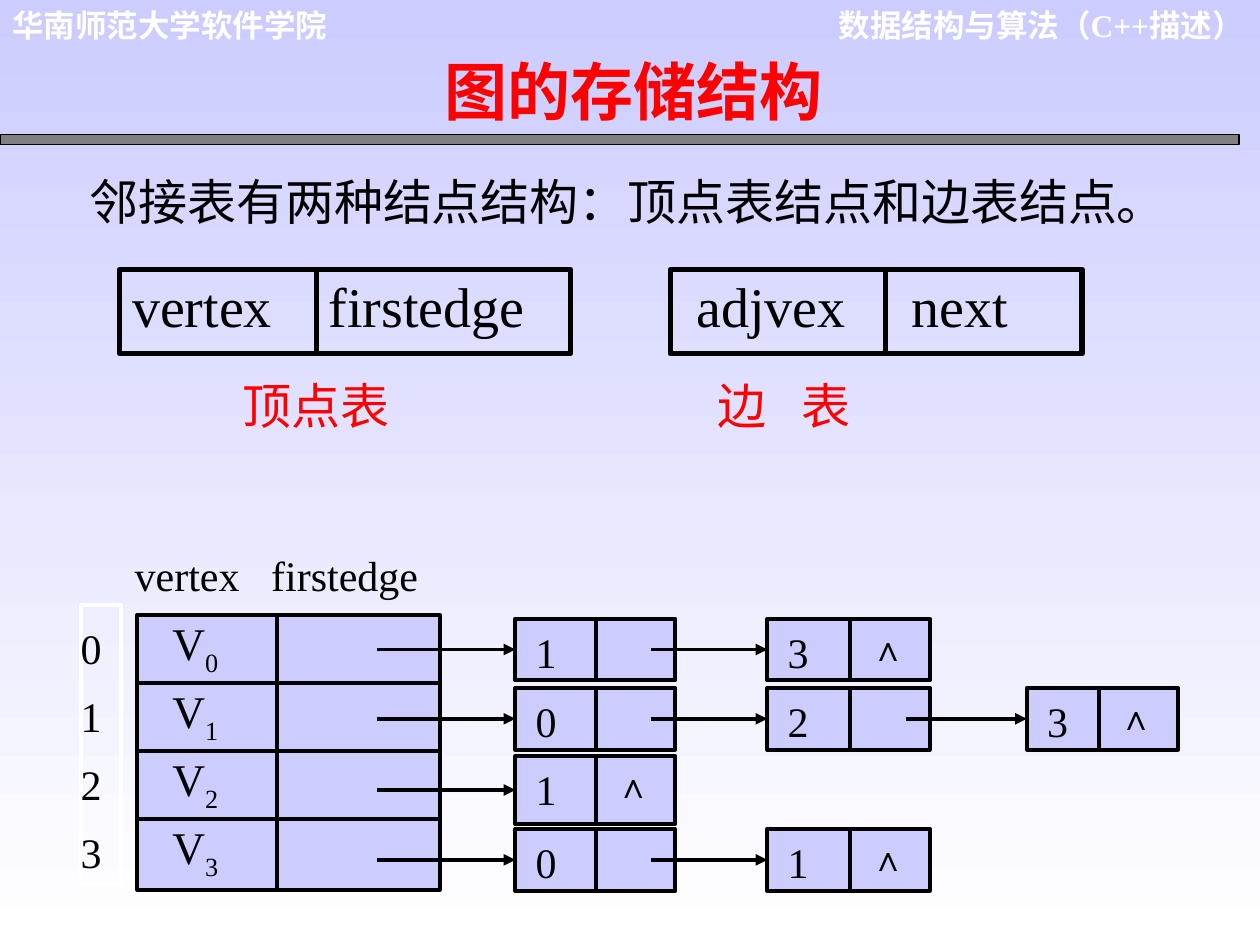
from dataclasses import dataclass

from lxml.etree import SubElement
from pptx import Presentation
from pptx.dml.color import RGBColor
from pptx.enum.shapes import MSO_CONNECTOR as Connector, MSO_SHAPE as Shape
from pptx.enum.text import MSO_ANCHOR as Anchor, MSO_AUTO_SIZE as AutoSize, PP_ALIGN as Align
from pptx.oxml.ns import qn
from pptx.util import Pt


@dataclass(frozen=True)
class Theme:
    black: str = "000000"
    white: str = "FFFFFF"
    red: str = "FF0000"
    gray: str = "808080"
    lavender: str = "CCCCFF"
    latin: str = "Times New Roman"
    header_latin: str = "Arial"
    cjk: str = "Noto Sans CJK SC"
    title: float = 36
    field: float = 32
    body: float = 28
    vertex: float = 25.9
    node: float = 24
    null: float = 20
    header: float = 18
    thick: float = 3
    medium: float = 2.25
    thin: float = 0.75


THEME = Theme()
MARGIN = (7.2, 3.6, 7.2, 3.6)
NULL = "∧"


def rgb(color):
    return RGBColor.from_string(color)


def style_run(run, size, color=THEME.black, bold=False, latin=THEME.latin):
    run.font.size = Pt(size)
    run.font.bold = bold
    run.font.name = latin
    run.font.color.rgb = rgb(color)
    SubElement(run.font._element, qn("a:ea"), typeface=THEME.cjk)


def write(shape, text, size, color=THEME.black, insets=MARGIN, align=Align.LEFT,
          tabs=(), spacing=None, **font):
    frame = shape.text_frame
    frame.auto_size = AutoSize.NONE
    frame.word_wrap = True
    frame.vertical_anchor = Anchor.TOP
    frame.margin_left, frame.margin_top, frame.margin_right, frame.margin_bottom = map(Pt, insets)
    frame.text = text
    for paragraph in frame.paragraphs:
        paragraph.alignment = align
        paragraph.space_before = Pt(0)
        if spacing:
            paragraph.line_spacing = spacing
        if tabs:
            stops = SubElement(paragraph._p.get_or_add_pPr(), qn("a:tabLst"))
            for position in tabs:
                SubElement(stops, qn("a:tab"), pos=str(Pt(position)), algn="l")
        for run in paragraph.runs:
            style_run(run, size, color, **font)
    return frame


def place(shape, box):
    shape.left, shape.top, shape.width, shape.height = map(Pt, box)


def add_label(slide, box, text, size, **style):
    return write(slide.shapes.add_textbox(*map(Pt, box)), text, size, **style)


def add_box(slide, box, fill=None, line=THEME.black, weight=THEME.medium):
    rectangle = slide.shapes.add_shape(Shape.RECTANGLE, *map(Pt, box))
    rectangle.shadow.inherit = False
    if fill:
        rectangle.fill.solid()
        rectangle.fill.fore_color.rgb = rgb(fill)
    else:
        rectangle.fill.background()
    rectangle.line.color.rgb = rgb(line)
    rectangle.line.width = Pt(weight)
    return rectangle


def add_pointer(slide, x, target):
    y = target.top + target.height // 2
    pointer = slide.shapes.add_connector(Connector.STRAIGHT, Pt(x), y, target.left, y)
    pointer.end_connect(target, 1)
    pointer.line.color.rgb = rgb(THEME.black)
    pointer.line.width = Pt(THEME.medium)
    SubElement(pointer.line._get_or_add_ln(), qn("a:tailEnd"), type="triangle")
    SubElement(pointer._element.spPr, qn("a:effectLst"))


def build_header(slide, left, top, width):
    add_label(slide, (left + 451.4, top, 266.4, 28.8), "数据结构与算法（C++描述）",
              THEME.header, color=THEME.white, align=Align.RIGHT, bold=True)
    add_label(slide, (left, top, 196, 28.8), "华南师范大学软件学院", THEME.header,
              color=THEME.white, bold=True, latin=THEME.header_latin)
    add_box(slide, (left, top + 77, width, 5.8), THEME.gray, weight=THEME.thin)


def build_title(title, box):
    place(title, box)
    frame = write(title, "图的存储结构", THEME.title, color=THEME.red,
                  align=Align.CENTER, bold=True)
    font = frame.paragraphs[0].runs[0].font
    effects = SubElement(font._element, qn("a:effectLst"))
    font._element.find(qn("a:solidFill")).addnext(effects)
    shadow = SubElement(effects, qn("a:outerShdw"), dist="25400", dir="2700000")
    SubElement(shadow, qn("a:srgbClr"), val=THEME.gray)


def build_statement(body, box):
    place(body, box)
    frame = write(body, "邻接表有两种结点结构：顶点表结点和边表结点。", THEME.body)
    properties = frame.paragraphs[0]._p.get_or_add_pPr()
    properties.set("marL", "0")
    properties.set("indent", "0")
    SubElement(properties, qn("a:buNone"))


def build_record(slide, left, top, fields, inset):
    for name, width in fields:
        field = add_box(slide, (left, top, width, 48.2), weight=THEME.thick)
        write(field, name, THEME.field, insets=(inset, 1.4, 0, 0.7))
        left += width


def build_structures(slide, left, top):
    build_record(slide, left, top, (("vertex", 112.3), ("firstedge", 145.4)), 7.2)
    build_record(slide, left + 314.6, top, (("adjvex", 123.1), ("next", 112.3)), 15)
    add_label(slide, (left + 11.5, top + 59.8, 540, 41.8), "\t顶点表\t边\t表", THEME.body,
              color=THEME.red, insets=(1.4, 0.7, 1.4, 0.7), tabs=(57.5, 329, 376.5))


def build_vertex_table(slide, left, top, count):
    add_label(slide, (left - 1.5, top - 37.4, 193, 34.6), "vertex\tfirstedge", THEME.node,
              insets=(0, 0, 0, 0), tabs=(78,))
    indices = add_box(slide, (left - 32.4, top - 5.8, 23, 159.8), line=THEME.white)
    write(indices, "\n".join(map(str, range(count))), THEME.node,
          insets=(0, 0, 0, 0), spacing=1.35)
    for index in range(count):
        y = top + index * 38.9
        vertex = add_box(slide, (left, y, 80, 40.3), THEME.lavender)
        frame = write(vertex, "V", THEME.vertex, insets=(20, 0.7, 0, 3.6), spacing=0.9)
        subscript = frame.paragraphs[0].add_run()
        subscript.text = str(index)
        style_run(subscript, THEME.vertex)
        subscript.font._element.set("baseline", "-25000")
        add_box(slide, (left + 80, y, 92.9, 40.3), THEME.lavender)


def build_edge_node(slide, left, top, height, split, value, is_last):
    insets = (11.5, 4.3, 4.3, 0.7)
    adjvex = add_box(slide, (left, top, 51, height), THEME.lavender)
    write(adjvex, value, THEME.node, insets=insets)
    link = add_box(slide, (left + split, top, 45.4, height), THEME.lavender)
    if is_last:
        write(link, NULL, THEME.null, insets=insets)
    return adjvex


def build_edge_lists(slide, left, top, pointer_x):
    columns = ((0, 46), (144, 47.5), (292.3, 41))
    rows = ((0, 35.3, "13"), (39.6, 35.3, "023"), (78.5, 38.9, "1"), (120.2, 35.3, "01"))
    pointers = []
    for offset, height, values in rows:
        source_x = pointer_x
        for position, (value, (x, split)) in enumerate(zip(values, columns), 1):
            node = build_edge_node(slide, left + x, top + offset, height, split, value,
                                   position == len(values))
            pointers.append((source_x, node))
            source_x = left + x + split + 31.5
    for source_x, node in pointers:
        add_pointer(slide, source_x, node)


def main():
    deck = Presentation()
    deck.slide_width, deck.slide_height = Pt(720), Pt(540)
    slide = deck.slides.add_slide(deck.slide_layouts[1])
    background = slide.background.fill
    background.gradient()
    background.gradient_angle = 270
    for stop, color in zip(background.gradient_stops, (THEME.lavender, THEME.white)):
        stop.color.rgb = rgb(color)
    title, body = slide.placeholders
    build_header(slide, 0, 0, 708)
    build_title(title, (161.3, 26.6, 401.8, 50.4))
    build_statement(body, (43.9, 94.3, 648, 41))
    build_structures(slide, 68.4, 154)
    build_vertex_table(slide, 78.5, 351.4, 4)
    build_edge_lists(slide, 294.5, 353.5, 215.3)
    deck.save("out.pptx")


if __name__ == "__main__":
    main()
